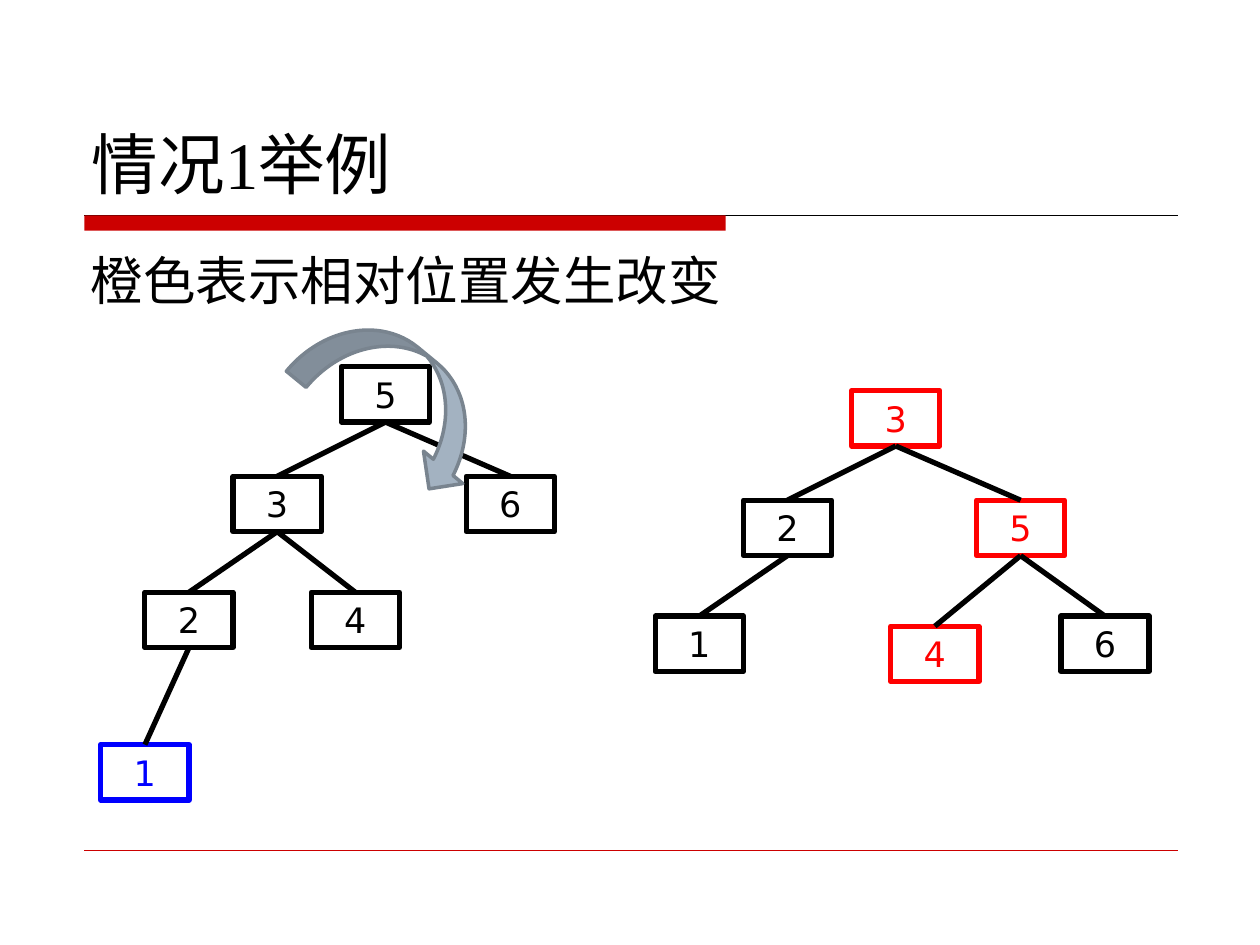
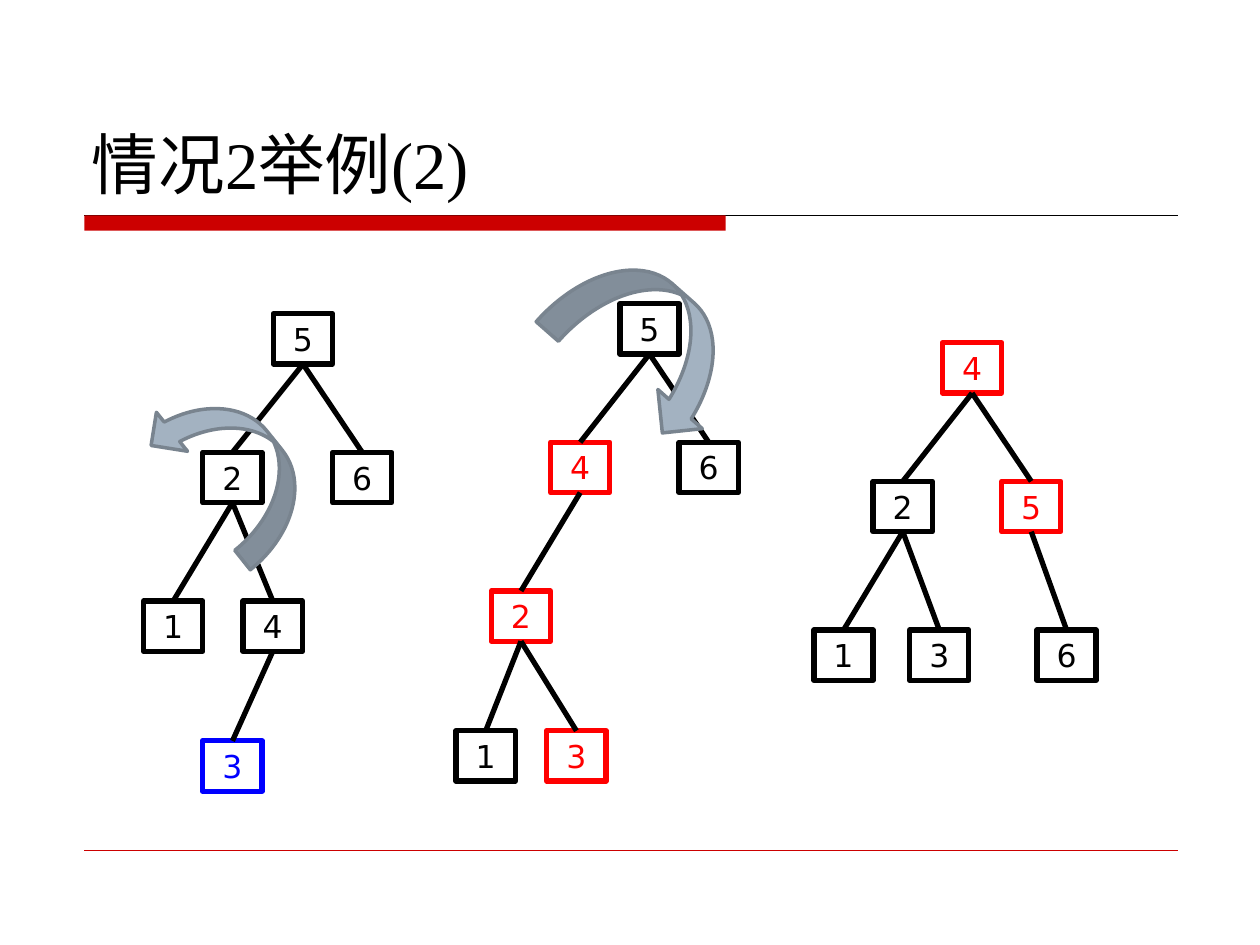
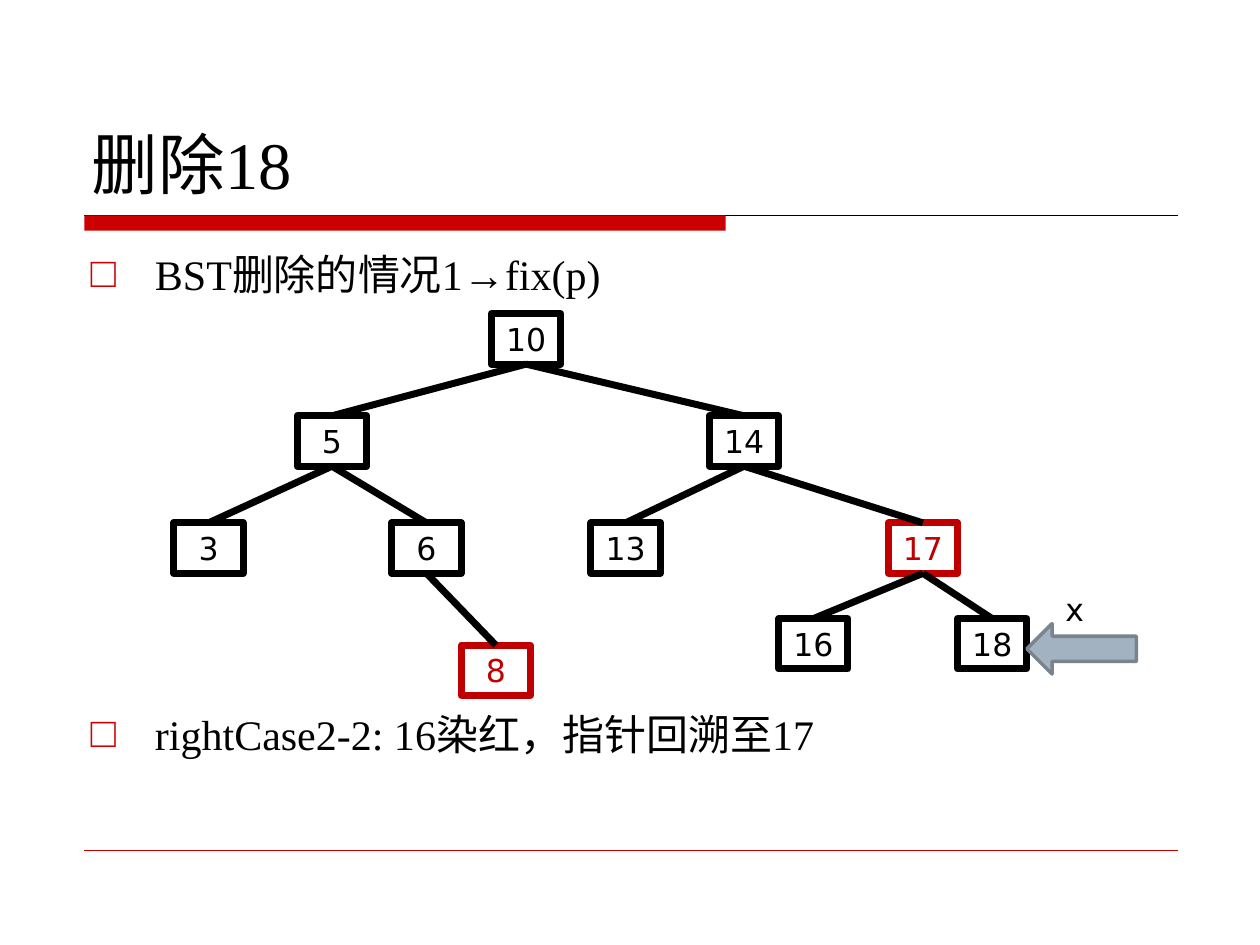
from pptx import Presentation
from pptx.dml.color import RGBColor
from pptx.enum.shapes import MSO_CONNECTOR, MSO_SHAPE
from pptx.enum.text import MSO_ANCHOR, MSO_AUTO_SIZE, PP_ALIGN
from pptx.oxml.xmlchemy import OxmlElement
from pptx.util import Inches, Pt

BLACK = RGBColor(0x00, 0x00, 0x00)
BLUE = RGBColor(0x00, 0x00, 0xFF)
RED = RGBColor(0xFF, 0x00, 0x00)
DARK_RED = RGBColor(0xC0, 0x00, 0x00)
BAND_RED = RGBColor(0xCC, 0x00, 0x00)
ARROW_FILL = RGBColor(0xA3, 0xB2, 0xC1)
ARROW_EDGE = RGBColor(0x79, 0x84, 0x8F)
SERIF, SANS = "Times New Roman", "DejaVu Sans"

TITLE_AREA = (0.63, 0.33, 8.75, 1.33)
BODY_AREA = (0.62, 1.92, 8.75, 4.67)
BAND = (0.67, 1.71, 5.09, 0.12)
RIGHT_EDGE, FOOT_Y = 9.35, 6.75
BULLET_INDENT = 0.51

# A tree is (root left, root top, nodes);
# a node is (label, parent label, row, offset from the root, colour).
# An arrow is (preset, area, rotation).
SLIDES = [
    {
        "title": "情况1举例",
        "body": ["橙色表示相对位置发生改变"],
        "body_size": 30, "bulleted": False, "gap": None,
        "box": (0.7, 0.44), "node_size": 20, "line": 3,
        "rows": (0, 0.87, 1.79, 1.87, 3.0),
        "trees": [
            (2.71, 2.91, [
                ("5", None, 0, 0, BLACK),
                ("3", "5", 1, -0.86, BLACK),
                ("6", "5", 1, 0.99, BLACK),
                ("2", "3", 2, -1.56, BLACK),
                ("4", "3", 2, -0.24, BLACK),
                ("1", "2", 4, -1.91, BLUE),
            ]),
            (6.76, 3.1, [
                ("3", None, 0, 0, RED),
                ("2", "3", 1, -0.86, BLACK),
                ("5", "3", 1, 0.99, RED),
                ("1", "2", 2, -1.56, BLACK),
                ("4", "5", 3, 0.31, RED),
                ("6", "5", 2, 1.66, BLACK),
            ]),
        ],
        "arrows": [(MSO_SHAPE.CURVED_DOWN_ARROW, (2.34, 2.76, 1.67, 0.81), 39.5)],
    },
    {
        "title": "情况2举例(2)",
        "body": [],
        "box": (0.47, 0.4), "node_size": 18, "line": 3,
        "rows": (0, 1.1, 2.28, 3.39),
        "trees": [
            (2.17, 2.49, [
                ("5", None, 0, 0, BLACK),
                ("2", "5", 1, -0.56, BLACK),
                ("6", "5", 1, 0.47, BLACK),
                ("1", "2", 2, -1.03, BLACK),
                ("4", "2", 2, -0.24, BLACK),
                ("3", "4", 3, -0.56, BLUE),
            ]),
            (4.92, 2.41, [
                ("5", None, 0, 0, BLACK),
                ("4", "5", 1, -0.55, RED),
                ("6", "5", 1, 0.47, BLACK),
                ("2", "4", 2, -1.02, RED),
                ("3", "2", 3, -0.58, RED),
                ("1", "2", 3, -1.3, BLACK),
            ]),
            (7.48, 2.72, [
                ("4", None, 0, 0, RED),
                ("2", "4", 1, -0.55, BLACK),
                ("5", "4", 1, 0.47, RED),
                ("1", "2", 2, -1.02, BLACK),
                ("3", "2", 2, -0.26, BLACK),
                ("6", "5", 2, 0.75, BLACK),
            ]),
        ],
        "arrows": [
            (MSO_SHAPE.CURVED_UP_ARROW, (1.11, 3.31, 1.46, 0.79), 231.4),
            (MSO_SHAPE.CURVED_DOWN_ARROW, (4.37, 2.25, 1.57, 0.94), 41.4),
        ],
    },
    {
        "title": "删除18",
        "body": ["BST删除的情况1→fix(p)", "rightCase2-2: 16染红，指针回溯至17"],
        "body_size": 24, "bulleted": True, "gap": 234,
        "box": (0.55, 0.4), "node_size": 18, "line": 4,
        "rows": (0, 0.81, 1.66, 2.42, 2.63),
        "trees": [
            (3.9, 2.49, [
                ("10", None, 0, 0, BLACK),
                ("5", "10", 1, -1.54, BLACK),
                ("3", "5", 2, -2.52, BLACK),
                ("6", "5", 2, -0.79, BLACK),
                ("8", "6", 4, -0.24, DARK_RED),
                ("14", "10", 1, 1.73, BLACK),
                ("13", "14", 2, 0.79, BLACK),
                ("17", "14", 2, 3.15, DARK_RED),
                ("16", "17", 3, 2.28, BLACK),
                ("18", "17", 3, 3.7, BLACK),
            ]),
        ],
        "arrows": [(MSO_SHAPE.LEFT_ARROW, (8.15, 4.95, 0.87, 0.4), 0)],
        "pointer": ("x", (8.23, 4.63, 0.6, 0.4)),
    },
]


def inches(area):
    return [Inches(length) for length in area]


def place(placeholder, area):
    placeholder.left, placeholder.top, placeholder.width, placeholder.height = inches(area)
    placeholder.text_frame.auto_size = MSO_AUTO_SIZE.NONE


def format_paragraph(paragraph, face, size, colour, align):
    paragraph.alignment = align
    for run in paragraph.runs:
        run.font.name, run.font.size = face, Pt(size)
        run.font.color.rgb = colour


def add_preset(slide, preset, area, fill, edge, width):
    shape = slide.shapes.add_shape(preset, *inches(area))
    shape.shadow.inherit = False
    if fill is None:
        shape.fill.background()
    else:
        shape.fill.solid()
        shape.fill.fore_color.rgb = fill
    if edge is None:
        shape.line.fill.background()
    else:
        shape.line.color.rgb = edge
        shape.line.width = Pt(width)
    return shape


def add_line(slide, ends, colour, width):
    line = slide.shapes.add_connector(MSO_CONNECTOR.STRAIGHT, *inches(ends))
    line.line.color.rgb = colour
    line.line.width = Pt(width)
    line._element.spPr.append(OxmlElement("a:effectLst"))
    return line


def add_frame(slide):
    """Draw the red band, its thin rule and the footer rule."""
    left, top = BAND[:2]
    add_line(slide, (left, top, RIGHT_EDGE, top), BLACK, 0.75)
    add_preset(slide, MSO_SHAPE.RECTANGLE, BAND, BAND_RED, None, 0)
    add_line(slide, (left, FOOT_Y, RIGHT_EDGE, FOOT_Y), BAND_RED, 0.25)


def set_bullet(paragraph, bulleted):
    properties = paragraph._p.get_or_add_pPr()
    indent = Inches(BULLET_INDENT) if bulleted else 0
    properties.set("marL", str(indent))
    properties.set("indent", str(-indent))
    if not bulleted:
        properties.append(OxmlElement("a:buNone"))
        return
    bullet_colour = OxmlElement("a:buClr")
    rgb = OxmlElement("a:srgbClr")
    rgb.set("val", str(BAND_RED))
    bullet_colour.append(rgb)
    bullet = OxmlElement("a:buChar")
    bullet.set("char", "□")
    properties.append(bullet_colour)
    properties.append(bullet)


def fill_title(slide, title):
    place(slide.shapes.title, TITLE_AREA)
    frame = slide.shapes.title.text_frame
    frame.vertical_anchor = MSO_ANCHOR.BOTTOM
    frame.text = title
    format_paragraph(frame.paragraphs[0], SERIF, 38, BLACK, PP_ALIGN.LEFT)


def fill_body(slide, content):
    body = slide.placeholders[1]
    place(body, BODY_AREA)
    body.text_frame.text = "\n".join(content["body"])
    for index, paragraph in enumerate(body.text_frame.paragraphs):
        format_paragraph(paragraph, SERIF, content["body_size"], BLACK, PP_ALIGN.LEFT)
        if index:
            paragraph.space_before = Pt(content["gap"])
        set_bullet(paragraph, content["bulleted"])


def add_tree(slide, tree, content):
    root_left, root_top, nodes = tree
    boxes = {}
    for label, _, row, offset, colour in nodes:
        area = (root_left + offset, root_top + content["rows"][row], *content["box"])
        box = add_preset(slide, MSO_SHAPE.RECTANGLE, area, None, colour, content["line"])
        frame = box.text_frame
        frame.margin_left = frame.margin_right = 0
        frame.text = label
        format_paragraph(frame.paragraphs[0], SANS, content["node_size"], colour,
                         PP_ALIGN.CENTER)
        boxes[label] = box
    for label, parent, *_ in nodes:
        if parent:
            branch = add_line(slide, (0, 0, 1, 1), BLACK, content["line"])
            branch.begin_connect(boxes[parent], 2)
            branch.end_connect(boxes[label], 0)


def add_pointer_label(slide, label, area):
    frame = slide.shapes.add_textbox(*inches(area)).text_frame
    frame.word_wrap = True
    frame.text = label
    format_paragraph(frame.paragraphs[0], SANS, 18, BLACK, PP_ALIGN.CENTER)


def main():
    deck = Presentation()
    deck.slide_width, deck.slide_height = Inches(10), Inches(7.5)
    text_layout, title_layout = deck.slide_layouts[1], deck.slide_layouts[5]
    for content in SLIDES:
        slide = deck.slides.add_slide(text_layout if content["body"] else title_layout)
        add_frame(slide)
        fill_title(slide, content["title"])
        if content["body"]:
            fill_body(slide, content)
        for tree in content["trees"]:
            add_tree(slide, tree, content)
        for preset, area, rotation in content["arrows"]:
            arrow = add_preset(slide, preset, area, ARROW_FILL, ARROW_EDGE, 2)
            arrow.rotation = rotation
        if "pointer" in content:
            add_pointer_label(slide, *content["pointer"])
    deck.save("out.pptx")


if __name__ == "__main__":
    main()
